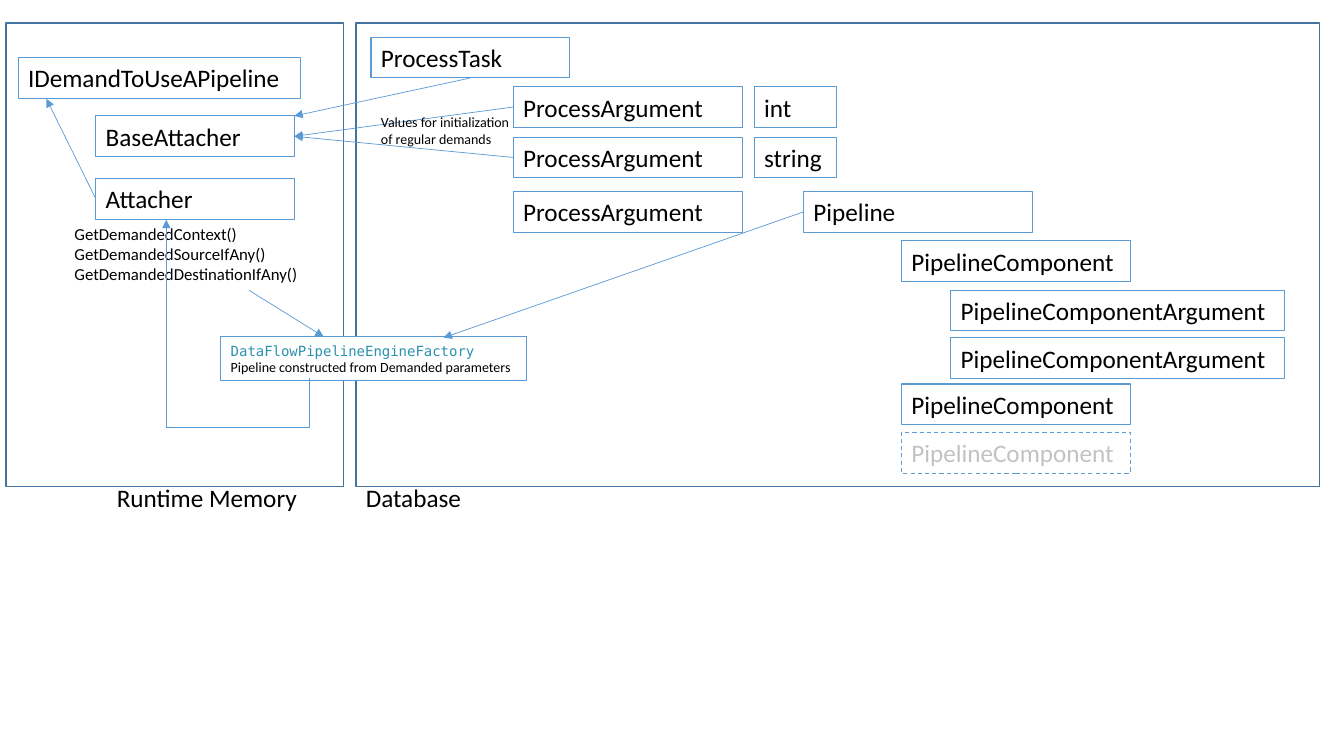
import pptx
import pptx.dml.color
import pptx.enum.dml
import pptx.enum.shapes
import pptx.enum.text
import pptx.oxml
import pptx.oxml.ns
import pptx.util

COLORS = {"frame": "43739E", "accent": "5B9BD5", "ink": "000000",
          "paper": "FFFFFF", "type": "2B91AF"}
TOP, LEFT, BOTTOM, RIGHT = range(4)
BOX_ROWS = 4.04


def color(name):
    return pptx.dml.color.RGBColor.from_string(COLORS[name])


def add_xml(parent, tag, **values):
    child = pptx.oxml.parse_xml(f"<a:{tag} {pptx.oxml.ns.nsdecls('a')}/>")
    for key, value in values.items():
        child.set(key, value)
    parent.append(child)


class Diagram:
    def __init__(self, deck, columns, rows):
        self.page = deck.slides.add_slide(deck.slide_layouts[6])
        self.column = deck.slide_width / columns
        self.row = deck.slide_height / rows
        self.style = {"size": 18, "name": "Calibri", "color": "ink"}

    def place(self, column, row):
        return round(column * self.column), round(row * self.row)

    def outline(self, shape, name, width):
        shape.line.color.rgb = color(name)
        shape.line.width = pptx.util.Pt(width)

    def fill_text(self, shape, lines, wrap, **changes):
        frame = shape.text_frame
        frame.word_wrap = wrap
        frame.auto_size = pptx.enum.text.MSO_AUTO_SIZE.SHAPE_TO_FIT_TEXT
        for index, line in enumerate(lines):
            words, extra = line if isinstance(line, tuple) else (line, {})
            para = frame.add_paragraph() if index else frame.paragraphs[0]
            para.alignment = pptx.enum.text.PP_ALIGN.LEFT
            span = para.add_run()
            span.text = words
            look = {**self.style, **changes, **extra}
            span.font.color.rgb = color(look.pop("color"))
            look["size"] = pptx.util.Pt(look["size"])
            for key, value in look.items():
                setattr(span.font, key, value)

    def rectangle(self, column, row, columns, rows, line="accent", width=0.75):
        shape = self.page.shapes.add_shape(
            pptx.enum.shapes.MSO_SHAPE.RECTANGLE,
            *self.place(column, row), *self.place(columns, rows))
        shape.shadow.inherit = False
        shape.fill.background()
        self.outline(shape, line, width)
        return shape

    def box(self, words, column, row, columns):
        shape = self.rectangle(column, row, columns, BOX_ROWS)
        self.fill_text(shape, [words], True)
        return shape

    def ghost(self, words, column, row, columns):
        shape = self.box(words, column, row, columns)
        shape.line.dash_style = pptx.enum.dml.MSO_LINE.DASH
        span = shape.text_frame.paragraphs[0].runs[0]
        for tint in span._r.iter(pptx.oxml.ns.qn("a:srgbClr")):
            add_xml(tint, "alpha", val="24000")

    def label(self, lines, column, row, columns, rows=BOX_ROWS, **changes):
        shape = self.page.shapes.add_textbox(
            *self.place(column, row), *self.place(columns, rows))
        self.fill_text(shape, lines, False, **changes)

    def link(self, start, end, arrow=True):
        points = [(0, 0) if hasattr(stop[0], "shape_id") else self.place(*stop)
                  for stop in (start, end)]
        line = self.page.shapes.add_connector(
            pptx.enum.shapes.MSO_CONNECTOR.STRAIGHT, *points[0], *points[1])
        for stop, attach in ((start, line.begin_connect), (end, line.end_connect)):
            if hasattr(stop[0], "shape_id"):
                attach(*stop)
        self.outline(line, "accent", 0.5)
        properties = line._element.spPr
        if arrow:
            add_xml(properties.find(pptx.oxml.ns.qn("a:ln")), "tailEnd",
                    type="triangle")
        add_xml(properties, "effectLst")


deck = pptx.Presentation()
deck.slide_width = pptx.util.Inches(13.33)
deck.slide_height = pptx.util.Inches(7.5)
diagram = Diagram(deck, 133.3, 75)

for column, columns in ((0.6, 33.5), (35.3, 95.6)):
    diagram.rectangle(column, 2.3, columns, 46, "frame", 1)

attacher = diagram.box("Attacher", 9.5, 17.7, 19.7)
base = diagram.box("BaseAttacher", 9.5, 11.5, 19.7)
task = diagram.box("ProcessTask", 36.8, 3.7, 19.7)
arguments = [diagram.box("ProcessArgument", 50.9, row, 22.7)
             for row in (8.6, 13.6, 19)]
for words, row in (("int", 8.6), ("string", 13.6)):
    diagram.box(words, 74.8, row, 8.2)
pipeline = diagram.box("Pipeline", 79.7, 19, 22.7)
for row in (23.9, 38.1):
    diagram.box("PipelineComponent", 89.4, row, 22.7)
diagram.ghost("PipelineComponent", 89.4, 42.9, 22.7)
for row in (28.8, 33.5):
    diagram.box("PipelineComponentArgument", 94.3, row, 33.1)
diagram.box("IDemandToUseAPipeline", 1.8, 5.7, 28)

diagram.label(["Database"], 35.3, 47.4, 11.6)
diagram.label(["Runtime Memory"], 10.6, 47.4, 20.1)
methods = (("GetDemandedContext()", 18.3), ("GetDemandedSourceIfAny()", 21.2),
           ("GetDemandedDestinationIfAny()", 24.4))
for index, (words, columns) in enumerate(methods):
    diagram.label([words], 6.4, 21.7 + 2 * index, columns, 3, size=12)

diagram.link((task, BOTTOM), (29.2, 11.5))
diagram.link((attacher, LEFT), (4.6, 9.8))
for argument in arguments[:2]:
    diagram.link((argument, LEFT), (base, RIGHT))
diagram.label(["Values for initialization", "of regular demands"],
              36.8, 10.8, 15.3, 4.4, size=10)

factory = diagram.rectangle(21.9, 33.4, 30.3, 4.4)
factory.fill.solid()
factory.fill.fore_color.rgb = color("paper")
diagram.fill_text(factory, [
    ("DataFlowPipelineEngineFactory", {"name": "DejaVu Sans Mono", "color": "type"}),
    "Pipeline constructed from Demanded parameters"], False, size=10)

diagram.link((24.7, 28.8), (32.1, 33.4))
diagram.link((pipeline, LEFT), (44, 33.5))
route = [(30.7, 37.5), (30.7, 42.4), (16.5, 42.4), (16.5, 21.8)]
for start, end in zip(route, route[1:]):
    diagram.link(start, end, arrow=end == route[-1])

deck.save("out.pptx")
